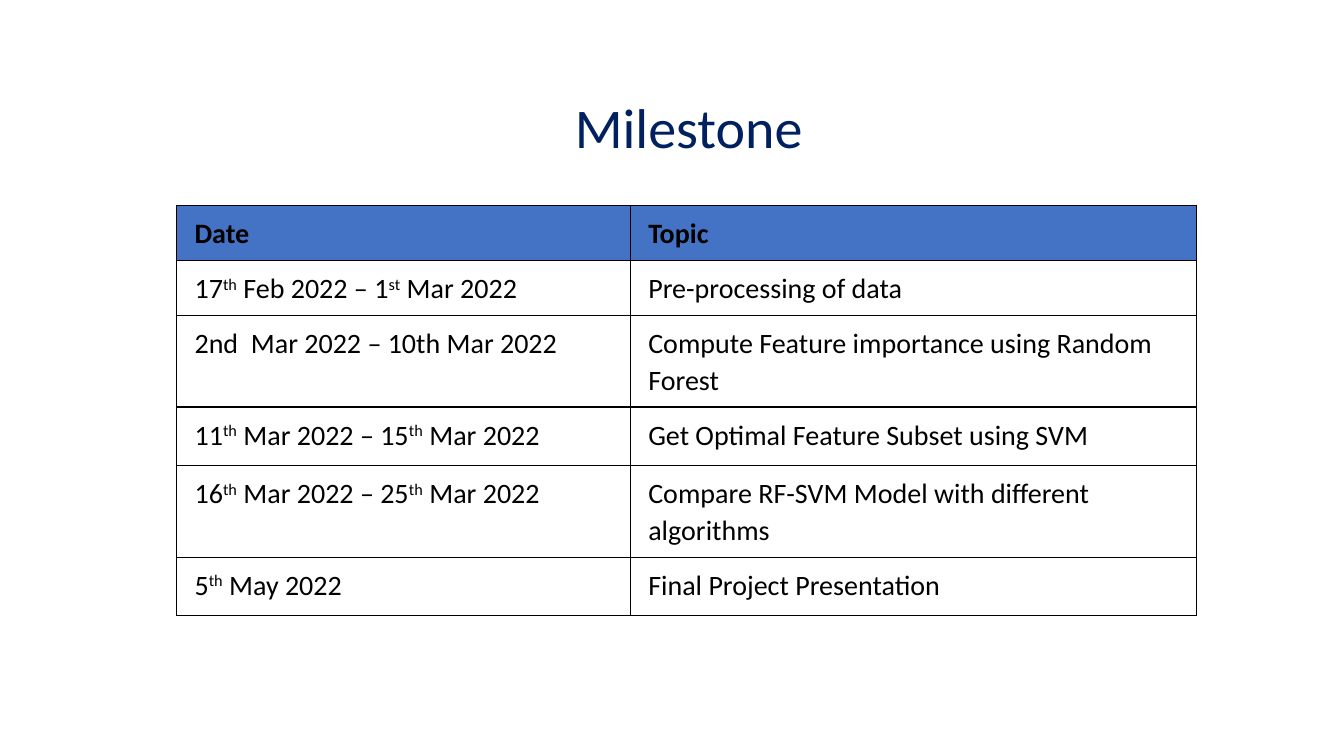
from dataclasses import dataclass

from lxml import etree
from pptx import Presentation
from pptx import util as u
from pptx.dml.color import RGBColor
from pptx.enum import text
from pptx.oxml import ns

FONT = "Calibri"
BLACK = "000000"
NAVY = "002060"
BLUE = "4472C4"
COLUMN_WIDTHS = (450, 562)


@dataclass
class Milestone:
    date: str
    topic: str
    height: int
    header: bool = False


MILESTONES = [
    Milestone("Date", "Topic", 54, header=True),
    Milestone("17^th^ Feb 2022 – 1^st^ Mar 2022", "Pre-processing of data", 54),
    Milestone("2nd  Mar 2022 – 10th Mar 2022",
              "Compute Feature importance using Random Forest", 91),
    Milestone("11^th^ Mar 2022 – 15^th^ Mar 2022",
              "Get Optimal Feature Subset using SVM", 58),
    Milestone("16^th^ Mar 2022 – 25^th^ Mar 2022",
              "Compare RF-SVM Model with different algorithms", 91),
    Milestone("5^th^ May 2022", "Final Project Presentation", 58),
]


def px(n: int) -> u.Emu:
    return u.Emu(n * 9144)


def rgb(value: str) -> RGBColor:
    return RGBColor.from_string(value)


def style_run(r, size: int, color: str, bold: bool = False) -> None:
    r.font.name = FONT
    r.font.size = u.Pt(size)
    r.font.bold = bold
    r.font.color.rgb = rgb(color)


def add_title(slide, title: str) -> None:
    sp = slide.shapes.add_textbox(px(108), px(57), px(1150), px(145))
    tf = sp.text_frame
    tf.word_wrap = True
    tf.vertical_anchor = text.MSO_ANCHOR.MIDDLE
    tf.text = title
    p = tf.paragraphs[0]
    p.alignment = text.PP_ALIGN.CENTER
    p.line_spacing = 0.9
    style_run(p.runs[0], 40, NAVY)


def add_borders(cell) -> None:
    tc_pr = cell._tc.get_or_add_tcPr()
    for side in ("lnL", "lnR", "lnT", "lnB"):
        ln = etree.SubElement(tc_pr, ns.qn(f"a:{side}"), w=str(u.Pt(1)))
        fill = etree.SubElement(ln, ns.qn("a:solidFill"))
        etree.SubElement(fill, ns.qn("a:srgbClr"), val=BLACK)


def fill_cell(cell, content: str, header: bool) -> None:
    cell.margin_left = cell.margin_right = px(18)
    cell.margin_top = cell.margin_bottom = px(9)
    add_borders(cell)
    if header:
        cell.fill.solid()
        cell.fill.fore_color.rgb = rgb(BLUE)
    else:
        cell.fill.background()
    p = cell.text_frame.paragraphs[0]
    p.line_spacing = 1.07
    p.space_after = u.Pt(8)
    for i, part in enumerate(content.split("^")):
        r = p.add_run()
        r.text = part
        style_run(r, 20, BLACK, header)
        if i % 2:
            r.font._element.set("baseline", "30000")


def add_milestones(slide, milestones: list[Milestone]) -> None:
    height = sum(m.height for m in milestones)
    table = slide.shapes.add_table(
        len(milestones), len(COLUMN_WIDTHS),
        px(175), px(204), px(sum(COLUMN_WIDTHS)), px(height)).table
    table.horz_banding = False
    for column, width in zip(table.columns, COLUMN_WIDTHS):
        column.width = px(width)
    for row, milestone in zip(table.rows, milestones):
        row.height = px(milestone.height)
        for cell, content in zip(row.cells, (milestone.date, milestone.topic)):
            fill_cell(cell, content, milestone.header)


def main() -> None:
    prs = Presentation()
    prs.slide_width, prs.slide_height = px(1333), px(750)
    slide = prs.slides.add_slide(prs.slide_layouts[6])
    add_milestones(slide, MILESTONES)
    add_title(slide, "Milestone")
    prs.save("out.pptx")


if __name__ == "__main__":
    main()
